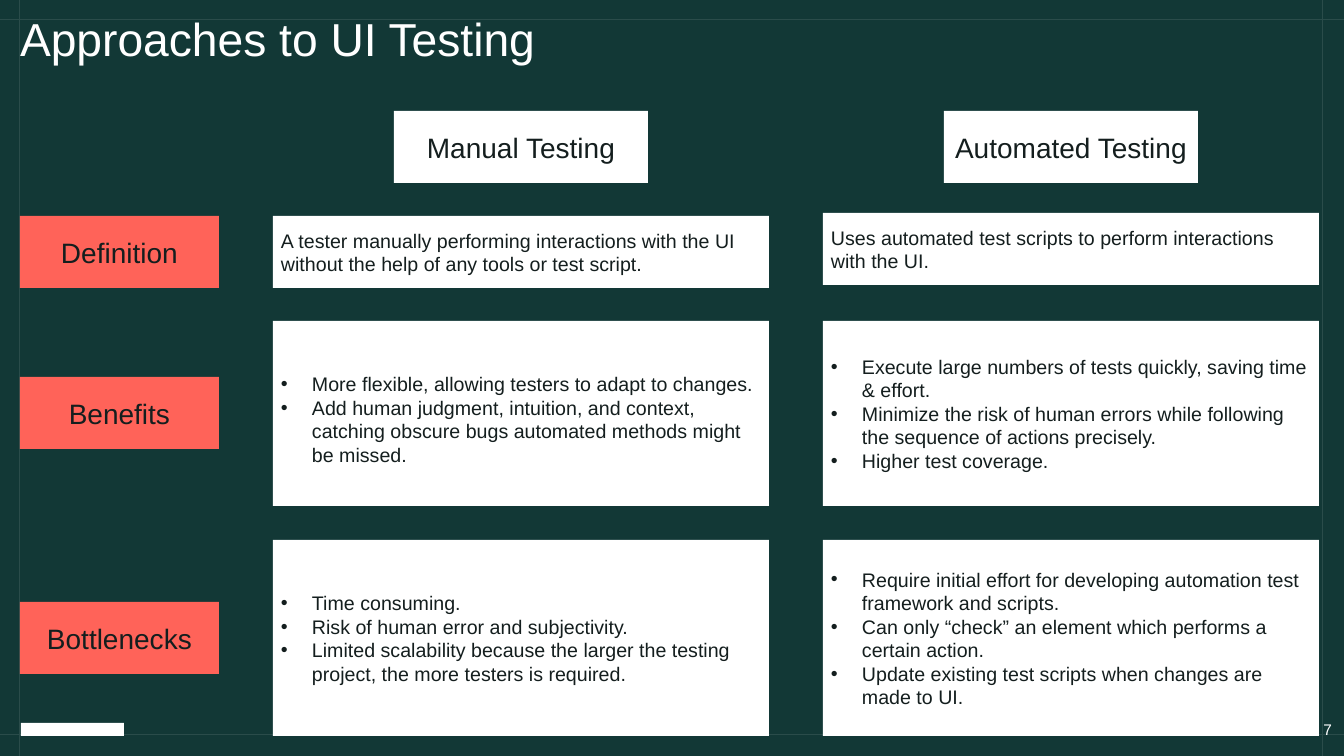
from lxml.etree import SubElement
from pptx import Presentation
from pptx.dml.color import RGBColor
from pptx.enum.shapes import MSO_CONNECTOR as Connector, MSO_SHAPE as Shape
from pptx.enum.text import MSO_ANCHOR as Anchor, PP_ALIGN as Align
from pptx.oxml.ns import qn
from pptx.util import Pt

SCALE = 914400 / 100.8
WIDTH, HEIGHT = 1344, 756
FONT = "Arial"
COLORS = {
    "background": "123836",
    "guide": "2A4C4A",
    "white": "FFFFFF",
    "label": "FF6359",
    "ink": "141E1E",
}
LABEL_LEFT, LABEL_WIDTH = 20, 199
COLUMN_LEFTS, COLUMN_WIDTH = (273, 823), 496
HEADER_TOP, HEADER_WIDTH = 111, 254
TAG_HEIGHT = 72

HEADERS = ["Manual Testing", "Automated Testing"]
ROWS = [
    ("Definition", (216, 213), 72, False, [
        ["A tester manually performing interactions with the UI without the help of any tools or test script."],
        ["Uses automated test scripts to perform interactions with the UI."],
    ]),
    ("Benefits", (321, 321), 185, True, [
        ["More flexible, allowing testers to adapt to changes.",
         "Add human judgment, intuition, and context, catching obscure bugs automated methods might be missed."],
        ["Execute large numbers of tests quickly, saving time & effort.",
         "Minimize the risk of human errors while following the sequence of actions precisely.",
         "Higher test coverage."],
    ]),
    ("Bottlenecks", (540, 540), 196, True, [
        ["Time consuming.",
         "Risk of human error and subjectivity.",
         "Limited scalability because the larger the testing project, the more testers is required."],
        ["Require initial effort for developing automation test framework and scripts.",
         "Can only “check” an element which performs a certain action.",
         "Update existing test scripts when changes are made to UI."],
    ]),
]


def px(length):
    return round(length * SCALE)


def color(name):
    return RGBColor.from_string(COLORS[name])


def set_text(text_frame, lines, size, ink, align, anchor, margins=(0, 0)):
    text_frame.word_wrap = True
    text_frame.vertical_anchor = anchor
    text_frame.margin_left = text_frame.margin_right = px(margins[0])
    text_frame.margin_top = text_frame.margin_bottom = px(margins[1])
    text_frame.text = "\n".join(lines)
    for paragraph in text_frame.paragraphs:
        paragraph.alignment = align
        font = paragraph.runs[0].font
        font.name, font.size = FONT, Pt(size)
        font.color.rgb = color(ink)


def add_bullet(paragraph):
    properties = paragraph._p.get_or_add_pPr()
    properties.set("marL", str(px(31)))
    properties.set("indent", str(px(-31)))
    SubElement(properties, qn("a:buFont")).set("typeface", FONT)
    SubElement(properties, qn("a:buChar")).set("char", "•")


def add_block(slide, box, fill):
    shape = slide.shapes.add_shape(Shape.RECTANGLE, *map(px, box))
    shape.shadow.inherit = False
    shape.fill.solid()
    shape.fill.fore_color.rgb = color(fill)
    shape.line.fill.background()
    return shape


def add_tag(slide, box, text, fill):
    shape = add_block(slide, box, fill)
    set_text(shape.text_frame, [text], 20, "ink", Align.CENTER, Anchor.MIDDLE, (8, 4))


def add_card(slide, box, lines, bulleted):
    shape = add_block(slide, box, "white")
    set_text(shape.text_frame, lines, 14, "ink", Align.LEFT, Anchor.MIDDLE, (8, 4))
    if bulleted:
        for paragraph in shape.text_frame.paragraphs:
            add_bullet(paragraph)
    return shape


def add_guides(slide, box):
    left, top, right, bottom = box
    ends = [(x, 0, x, HEIGHT) for x in (left, right)]
    ends += [(0, y, WIDTH, y) for y in (top, bottom)]
    for points in ends:
        guide = slide.shapes.add_connector(Connector.STRAIGHT, *map(px, points))
        guide.line.color.rgb = color("guide")
        guide.line.width = Pt(0.75)
        SubElement(guide._element.spPr, qn("a:effectLst"))


def add_title(slide, box):
    title = slide.shapes.title
    title.left, title.top, title.width, title.height = map(px, box)
    set_text(title.text_frame, ["Approaches to UI Testing"], 33, "white", Align.LEFT, Anchor.TOP)
    title.text_frame.paragraphs[0].line_spacing = 0.83


def add_page_number(slide, box):
    number = slide.shapes.add_textbox(*map(px, box))
    set_text(number.text_frame, ["7"], 11, "white", Align.RIGHT, Anchor.BOTTOM)


def add_headers(slide, top):
    for left, text in zip(COLUMN_LEFTS, HEADERS):
        header_left = left + (COLUMN_WIDTH - HEADER_WIDTH) // 2
        add_tag(slide, (header_left, top, HEADER_WIDTH, TAG_HEIGHT), text, "white")


def add_row(slide, label, tops, height, bulleted, cells):
    label_top = tops[0] + (height - TAG_HEIGHT) // 2
    add_tag(slide, (LABEL_LEFT, label_top, LABEL_WIDTH, TAG_HEIGHT), label, "label")
    return [
        add_card(slide, (left, top, COLUMN_WIDTH, height), lines, bulleted)
        for left, top, lines in zip(COLUMN_LEFTS, tops, cells)
    ]


def main():
    presentation = Presentation()
    presentation.slide_width, presentation.slide_height = px(WIDTH), px(HEIGHT)
    slide = presentation.slides.add_slide(presentation.slide_layouts[5])
    slide.background.fill.solid()
    slide.background.fill.fore_color.rgb = color("background")

    add_guides(slide, (20, 20, 1323, 735))
    add_block(slide, (21, 723, 103, 13), "white")
    add_title(slide, (20, 20, 1303, 105))
    add_page_number(slide, (1033, 718, 299, 21))
    add_headers(slide, HEADER_TOP)
    cards = {row[0]: add_row(slide, *row) for row in ROWS}
    cards["Benefits"][0].text_frame.paragraphs[0].line_spacing = 1.5

    presentation.save("out.pptx")


if __name__ == "__main__":
    main()
